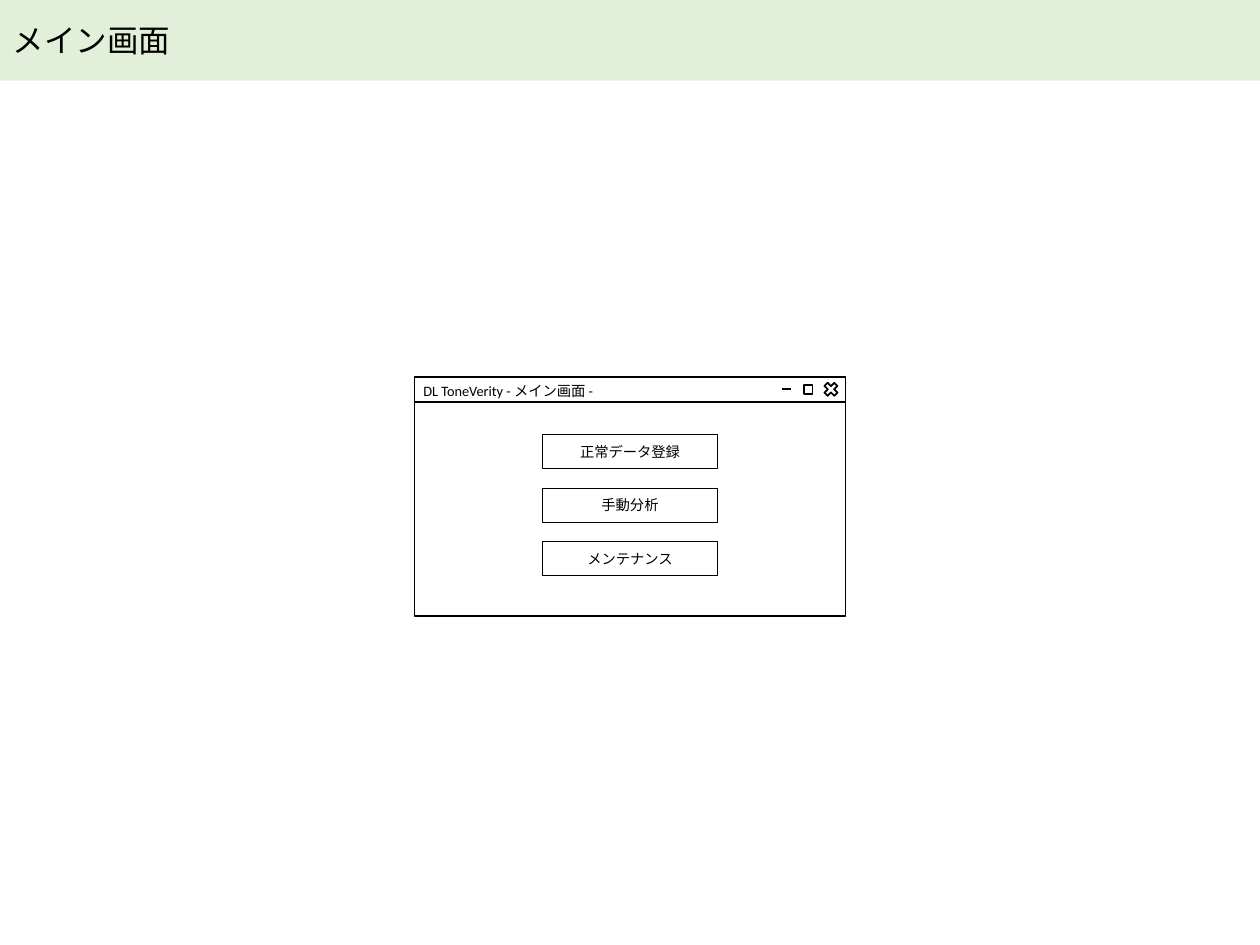
from dataclasses import dataclass

from lxml import etree
from pptx import Presentation
from pptx.dml.color import RGBColor
from pptx.enum.shapes import MSO_CONNECTOR, MSO_SHAPE
from pptx.enum.text import MSO_ANCHOR, MSO_AUTO_SIZE, PP_ALIGN
from pptx.oxml.ns import qn
from pptx.util import Inches, Pt

RECTANGLE = MSO_SHAPE.RECTANGLE
CROSS = MSO_SHAPE.MATH_MULTIPLY
STRAIGHT = MSO_CONNECTOR.STRAIGHT
LEFT, CENTER = PP_ALIGN.LEFT, PP_ALIGN.CENTER
TOP, MIDDLE = MSO_ANCHOR.TOP, MSO_ANCHOR.MIDDLE
FIXED_SIZE = MSO_AUTO_SIZE.NONE
TITLE_ONLY = 5

COLUMNS, ROWS = 100, 75


@dataclass(frozen=True)
class Theme:
    font: str = "Calibri"
    ink: RGBColor = RGBColor(0, 0, 0)
    paper: RGBColor = RGBColor(0xFF, 0xFF, 0xFF)
    band: RGBColor = RGBColor(0xE2, 0xF0, 0xD9)
    title_size: float = 18
    label_size: float = 8.2
    frame_line: float = 1
    button_line: float = 0.75


class ScreenSlide:
    """Holds the theme and the current slide; lengths are grid columns and rows."""

    def __init__(self, deck, theme):
        self.theme = theme
        self.column = deck.slide_width / COLUMNS
        self.row = deck.slide_height / ROWS
        self.page = deck.slides.add_slide(deck.slide_layouts[TITLE_ONLY])

    def cells(self, left, top, width, height):
        """Turns grid cells into slide units."""
        return (round(left * self.column), round(top * self.row),
                round(width * self.column), round(height * self.row))

    def add_text(self, box, text, size, align, anchor):
        frame = box.text_frame
        frame.word_wrap = True
        frame.auto_size = FIXED_SIZE
        frame.vertical_anchor = anchor
        para = frame.paragraphs[0]
        para.alignment = align
        span = para.add_run()
        span.text = text
        span.font.name = self.theme.font
        span.font.size = Pt(size)
        span.font.color.rgb = self.theme.ink

    def title(self, text, height):
        box = self.page.shapes.title
        box.left, box.top, box.width, box.height = self.cells(0, 0, COLUMNS, height)
        box.fill.solid()
        box.fill.fore_color.rgb = self.theme.band
        self.add_text(box, text, self.theme.title_size, LEFT, MIDDLE)

    def outline(self, area, line_width, kind=RECTANGLE, filled=True):
        box = self.page.shapes.add_shape(kind, *self.cells(*area))
        box.shadow.inherit = False
        if filled:
            box.fill.solid()
            box.fill.fore_color.rgb = self.theme.paper
        else:
            box.fill.background()
        box.line.color.rgb = self.theme.ink
        box.line.width = Pt(line_width)
        return box

    def button(self, text, area):
        box = self.outline(area, self.theme.button_line)
        self.add_text(box, text, self.theme.label_size, CENTER, MIDDLE)

    def title_bar(self, text, area):
        box = self.outline(area, self.theme.frame_line)
        frame = box.text_frame
        frame.margin_left = frame.margin_right = Inches(0.07)
        frame.margin_top = frame.margin_bottom = Inches(0.04)
        self.add_text(box, text, self.theme.label_size, LEFT, TOP)

    def dash(self, left, top, width):
        x, y, length, _ = self.cells(left, top, width, 0)
        line = self.page.shapes.add_connector(STRAIGHT, x, y, x + length, y)
        line.line.color.rgb = self.theme.ink
        line.line.width = Pt(self.theme.frame_line)
        etree.SubElement(line._element.spPr, qn("a:effectLst"))

    def window(self, caption, left, top, width, height):
        weight = self.theme.frame_line
        self.outline((left, top, width, height), weight)
        self.title_bar(caption, (left, top, width, 2))
        right, middle = left + width, top + 1
        self.dash(right - 5, middle, 0.7)
        self.outline((right - 3.3, middle - 0.35, 0.7, 0.7), weight)
        self.outline((right - 1.9, middle - 0.75, 1.5, 1.5), weight, CROSS, filled=False)

    def button_stack(self, labels, top, width, height, pitch):
        """Stacks buttons at an equal pitch, centred on the slide."""
        left = (COLUMNS - width) / 2
        for index, label in enumerate(labels):
            self.button(label, (left, top + index * pitch, width, height))


def main():
    deck = Presentation()
    deck.slide_width, deck.slide_height = Inches(10), Inches(7.5)
    screen = ScreenSlide(deck, Theme())
    screen.title("メイン画面", height=6.4)
    screen.window("DL ToneVerity - メイン画面 -", left=32.9, top=29.9, width=34.2, height=19)
    screen.button_stack(["正常データ登録", "手動分析", "メンテナンス"],
                        top=34.5, width=13.9, height=2.7, pitch=4.25)
    deck.save("out.pptx")


if __name__ == "__main__":
    main()
